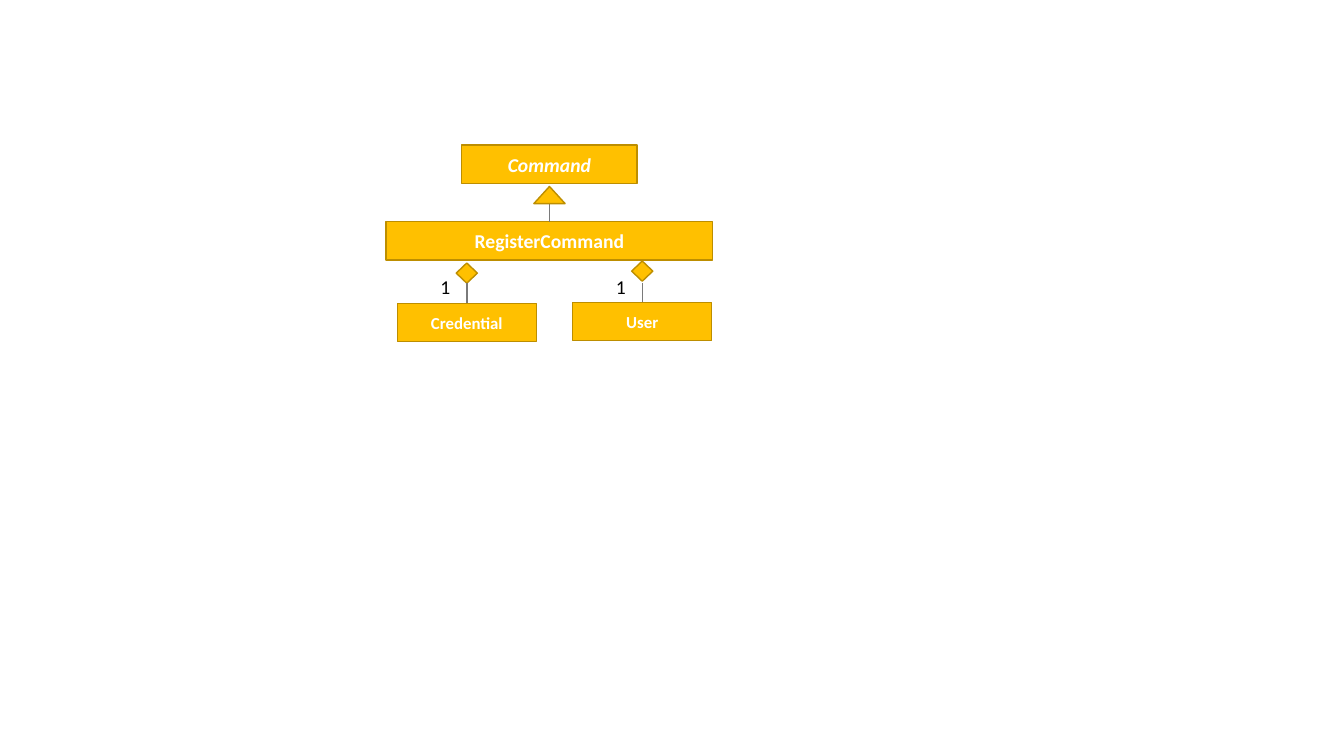
"""Build a class diagram of RegisterCommand, its parent and its parts."""
from pptx import Presentation
from pptx.dml.color import RGBColor
from pptx.enum.shapes import MSO_CONNECTOR, MSO_SHAPE
from pptx.enum.text import MSO_ANCHOR, MSO_AUTO_SIZE, PP_ALIGN
from pptx.oxml.ns import qn
from pptx.util import Inches, Pt
from lxml import etree

RECTANGLE, TRIANGLE, DIAMOND = MSO_SHAPE.RECTANGLE, MSO_SHAPE.ISOSCELES_TRIANGLE, MSO_SHAPE.DIAMOND
STRAIGHT = MSO_CONNECTOR.STRAIGHT
MIDDLE, CENTER = MSO_ANCHOR.MIDDLE, PP_ALIGN.CENTER
FIT_SHAPE = MSO_AUTO_SIZE.SHAPE_TO_FIT_TEXT

AMBER = RGBColor(0xFF, 0xC0, 0x00)
DARK_AMBER = RGBColor(0xBD, 0x8E, 0x00)
GRAY = RGBColor(0x7A, 0x7A, 0x7A)
WHITE = RGBColor(0xFF, 0xFF, 0xFF)
BLACK = RGBColor(0x00, 0x00, 0x00)

AXIS = 5.45
CLASS_HEIGHT = 0.38
PARENT = {"name": "Command", "top": 1.44, "width": 1.74}
CHILD = {"name": "RegisterCommand", "top": 2.2, "width": 3.24}
PARTS = [
    {"name": "Credential", "count": "1", "center": 4.63, "top": 3.01, "diamond_top": 2.61},
    {"name": "User", "count": "1", "center": 6.37, "top": 3.0, "diamond_top": 2.59},
]
PART_WIDTH = 1.38
ARROW_TOP, ARROW_WIDTH, ARROW_HEIGHT = 1.85, 0.31, 0.17
DIAMOND_WIDTH, DIAMOND_HEIGHT = 0.21, 0.2
LINK_TOP = 2.81
COUNT_OFFSET, COUNT_TOP, COUNT_WIDTH, COUNT_HEIGHT = 0.36, 2.68, 0.3, 0.34

CLASS_FONT = {"name": "Calibri", "size": Pt(14), "bold": True}
PARENT_FONT = {**CLASS_FONT, "italic": True}
PART_FONT = {**CLASS_FONT, "size": Pt(12)}
COUNT_FONT = {"name": "Calibri", "size": Pt(14)}


def write(frame, text, font, color):
    run = frame.paragraphs[0].add_run()
    run.text = text
    for attribute, value in font.items():
        setattr(run.font, attribute, value)
    run.font.color.rgb = color


def add_symbol(kind, center, top, width, height):
    symbol = slide.shapes.add_shape(
        kind, Inches(center - width / 2), Inches(top), Inches(width), Inches(height))
    symbol.shadow.inherit = False
    symbol.fill.solid()
    symbol.fill.fore_color.rgb = AMBER
    symbol.line.color.rgb = DARK_AMBER
    symbol.line.width = Pt(1)
    return symbol


def add_class(name, center, top, width, font):
    box = add_symbol(RECTANGLE, center, top, width, CLASS_HEIGHT)
    box.text_frame.vertical_anchor = MIDDLE
    box.text_frame.paragraphs[0].alignment = CENTER
    write(box.text_frame, name, font, WHITE)


def add_link(center, top, bottom):
    link = slide.shapes.add_connector(
        STRAIGHT, Inches(center), Inches(top), Inches(center), Inches(bottom))
    link.line.color.rgb = GRAY
    link.line.width = Pt(1)
    etree.SubElement(link._element.spPr, qn("a:effectLst"))


def add_count(text, center):
    label = slide.shapes.add_textbox(
        Inches(center - COUNT_OFFSET), Inches(COUNT_TOP), Inches(COUNT_WIDTH), Inches(COUNT_HEIGHT))
    label.text_frame.word_wrap = False
    label.text_frame.auto_size = FIT_SHAPE
    write(label.text_frame, text, COUNT_FONT, BLACK)


presentation = Presentation()
presentation.slide_width, presentation.slide_height = Inches(13.33), Inches(7.5)
slide = presentation.slides.add_slide(presentation.slide_layouts[6])

add_class(CHILD["name"], AXIS, CHILD["top"], CHILD["width"], CLASS_FONT)
add_link(AXIS, ARROW_TOP, CHILD["top"])
add_symbol(TRIANGLE, AXIS, ARROW_TOP, ARROW_WIDTH, ARROW_HEIGHT)
add_class(PARENT["name"], AXIS, PARENT["top"], PARENT["width"], PARENT_FONT)

for part in PARTS:
    add_class(part["name"], part["center"], part["top"], PART_WIDTH, PART_FONT)
    add_symbol(DIAMOND, part["center"], part["diamond_top"], DIAMOND_WIDTH, DIAMOND_HEIGHT)
    add_link(part["center"], LINK_TOP, part["top"])
    add_count(part["count"], part["center"])

presentation.save("out.pptx")
